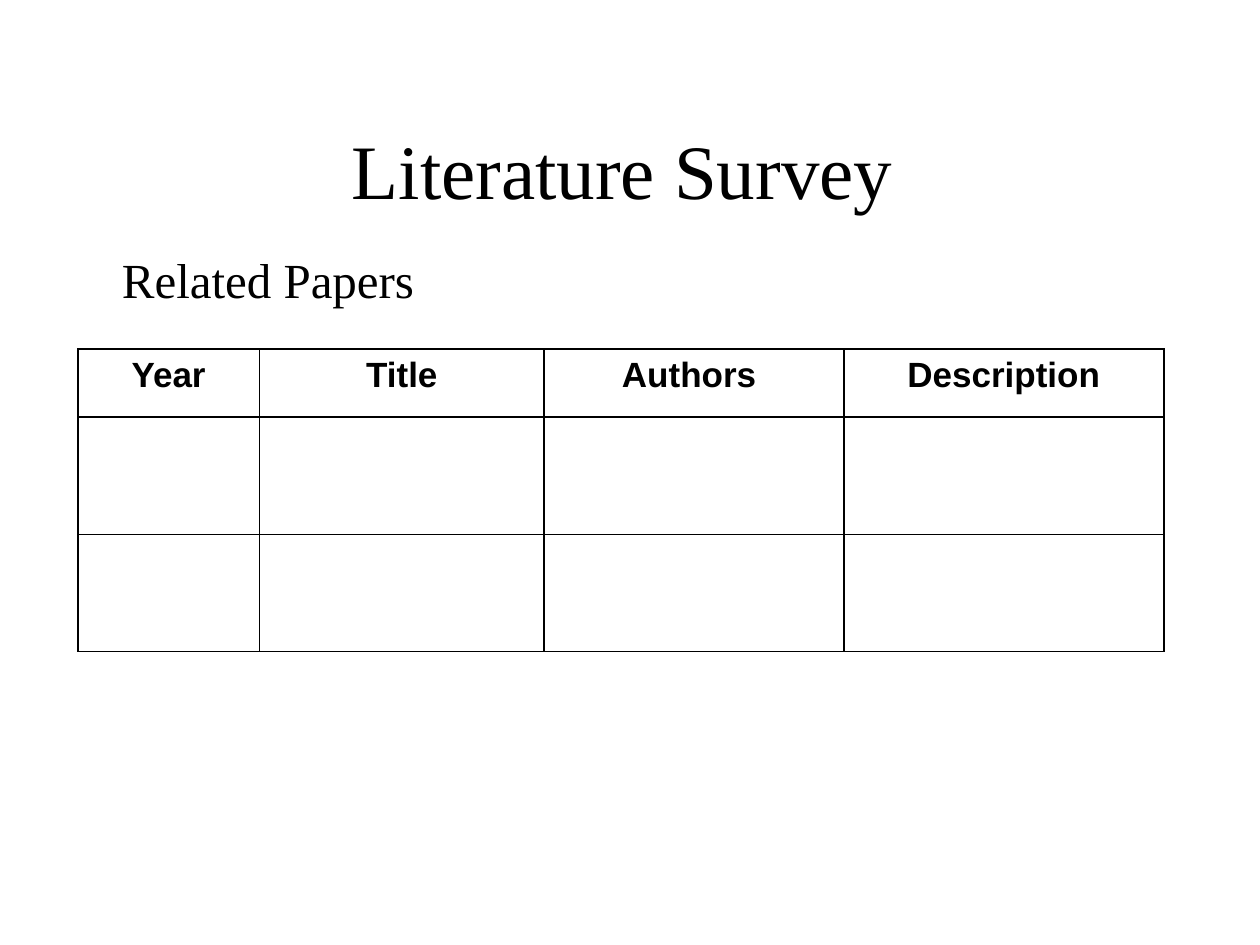
from lxml import etree
from pptx import Presentation
from pptx import util as u
from pptx.dml.color import RGBColor
from pptx.enum import text
from pptx.oxml.ns import qn

# Content
TITLE = "Literature Survey"
SUBTITLE = "Related Papers"
COLUMNS = [("Year", 3.66), ("Title", 5.74), ("Authors ", 6.04), ("Description", 6.45)]
ROW_HEIGHTS = [1.37, 2.36, 2.36]

THEME = {
    "ink": "000000",
    "paper": "FFFFFF",
    "serif": "Times New Roman",
    "sans": "Arial",
    "title": 44,
    "subtitle": 28,
    "header": 20,
    "border": 1,
}


def write(frame, words, *, size, font, bold=False, align=text.PP_ALIGN.LEFT,
          anchor=None, line_spacing=None, space_before=None):
    frame.word_wrap = True
    if anchor is not None:
        frame.vertical_anchor = anchor
    para = frame.paragraphs[0]
    para.alignment = align
    para.line_spacing = line_spacing
    if space_before is not None:
        para.space_before = u.Pt(space_before)
    span = para.add_run()
    span.text = words
    span.font.size = u.Pt(size)
    span.font.name = font
    span.font.bold = bold
    span.font.color.rgb = RGBColor.from_string(THEME["ink"])


def add_box(slide, left, top, width, height):
    return slide.shapes.add_textbox(u.Cm(left), u.Cm(top), u.Cm(width), u.Cm(height)).text_frame


def style_cell(cell):
    properties = cell._tc.get_or_add_tcPr()
    for side in ("a:lnL", "a:lnR", "a:lnT", "a:lnB"):
        line = etree.SubElement(properties, qn(side), w=str(u.Pt(THEME["border"])))
        fill = etree.SubElement(line, qn("a:solidFill"))
        etree.SubElement(fill, qn("a:srgbClr"), val=THEME["ink"])
    cell.fill.background()


def add_papers_table(slide, left, top):
    widths = [width for _, width in COLUMNS]
    table = slide.shapes.add_table(
        len(ROW_HEIGHTS), len(COLUMNS), u.Cm(left), u.Cm(top),
        u.Cm(sum(widths)), u.Cm(sum(ROW_HEIGHTS))).table
    table.first_row = table.horz_banding = False
    for column, width in zip(table.columns, widths):
        column.width = u.Cm(width)
    for row, height in zip(table.rows, ROW_HEIGHTS):
        row.height = u.Cm(height)
    for cell in table.iter_cells():
        style_cell(cell)
    for cell, (heading, _) in zip(table.rows[0].cells, COLUMNS):
        write(cell.text_frame, heading, size=THEME["header"], font=THEME["sans"],
              bold=True, align=text.PP_ALIGN.CENTER)


def main():
    deck = Presentation()
    deck.slide_width, deck.slide_height = u.Cm(25.4), u.Cm(19.05)
    slide = deck.slides.add_slide(deck.slide_layouts[6])
    slide.background.fill.solid()
    slide.background.fill.fore_color.rgb = RGBColor.from_string(THEME["paper"])

    # Headings
    write(add_box(slide, 6.35, 1.68, 12.4, 3.68), TITLE, size=THEME["title"],
          font=THEME["serif"], align=text.PP_ALIGN.CENTER,
          anchor=text.MSO_ANCHOR.MIDDLE, line_spacing=0.9)
    write(add_box(slide, 2.21, 5.03, 20.65, 9.78), SUBTITLE, size=THEME["subtitle"],
          font=THEME["serif"], line_spacing=0.9, space_before=10)

    # Table of papers
    add_papers_table(slide, 1.57, 7.04)
    deck.save("out.pptx")


if __name__ == "__main__":
    main()
